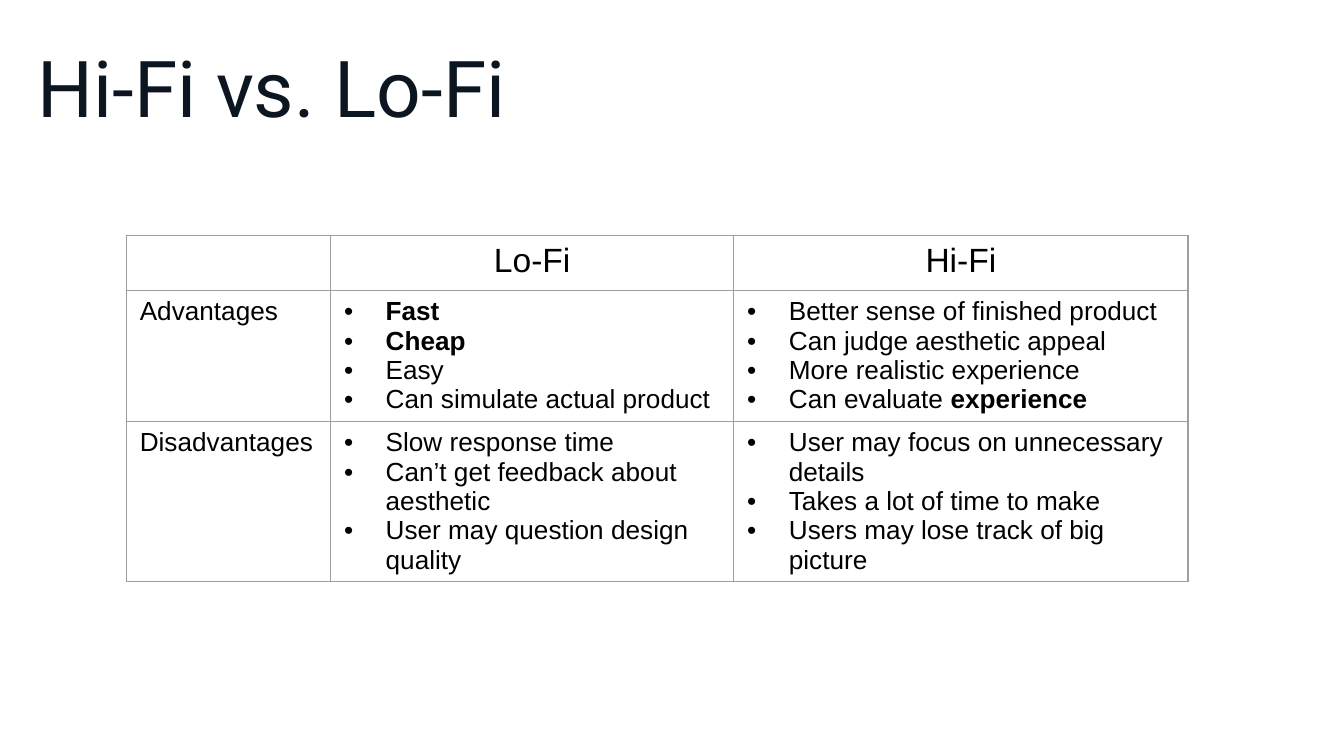
from lxml import etree
from pptx import Presentation
from pptx.dml.color import RGBColor
from pptx.enum.text import MSO_ANCHOR, MSO_AUTO_SIZE, PP_ALIGN
from pptx.oxml.ns import qn
from pptx.util import Inches, Pt

BOTTOM, TOP = MSO_ANCHOR.BOTTOM, MSO_ANCHOR.TOP
LEFT, CENTER = PP_ALIGN.LEFT, PP_ALIGN.CENTER
NO_FIT = MSO_AUTO_SIZE.NONE

COLORS = {"title": "0C1621", "text": "000000", "border": "9E9E9E"}
TITLE = "Hi-Fi vs. Lo-Fi"
HEADS = ["", "Lo-Fi", "Hi-Fi"]
# Each item is a list of (text, bold) runs.
ROWS = [
    ("Advantages",
     [[("Fast", True)],
      [("Cheap", True)],
      [("Easy", False)],
      [("Can simulate actual product", False)]],
     [[("Better sense of finished product", False)],
      [("Can judge aesthetic appeal", False)],
      [("More realistic experience", False)],
      [("Can evaluate ", False), ("experience", True)]]),
    ("Disadvantages",
     [[("Slow response time", False)],
      [("Can’t get feedback about aesthetic", False)],
      [("User may question design quality", False)]],
     [[("User may focus on unnecessary details", False)],
      [("Takes a lot of time to make", False)],
      [("Users may lose track of big picture", False)]]),
]
SLIDE_W = 10
SLIDE_H = SLIDE_W * 9 / 16
WIDTHS = [1.52, 3, 3.38]
ROW_H = 0.41
INDENT = 0.31


def add_run(para, text, size, color, face="Arial", bold=False):
    run = para.add_run()
    run.text = text
    font = run.font
    font.name, font.size, font.bold = face, Pt(size), bold
    font.color.rgb = RGBColor.from_string(COLORS[color])


def add_bullet(para):
    props = para._p.get_or_add_pPr()
    props.set("marL", str(Inches(INDENT)))
    props.set("indent", str(-Inches(INDENT)))
    color = etree.SubElement(props, qn("a:buClr"))
    etree.SubElement(color, qn("a:srgbClr"), val=COLORS["text"])
    etree.SubElement(props, qn("a:buFont"), typeface="Arial")
    etree.SubElement(props, qn("a:buChar"), char="•")


def style_cell(cell):
    props = cell._tc.get_or_add_tcPr()
    for side in ("lnL", "lnR", "lnT", "lnB"):
        line = etree.SubElement(props, qn(f"a:{side}"), w=str(Pt(0.75)))
        fill = etree.SubElement(line, qn("a:solidFill"))
        etree.SubElement(fill, qn("a:srgbClr"), val=COLORS["border"])
    cell.fill.background()
    cell.margin_left = cell.margin_right = Inches(0.1)
    cell.margin_top = cell.margin_bottom = Inches(0.05)
    cell.vertical_anchor = TOP


def fill_cell(cell, items, size=14, align=LEFT, bullets=False):
    frame = cell.text_frame
    for i, item in enumerate(items):
        para = frame.add_paragraph() if i else frame.paragraphs[0]
        para.alignment = align
        if bullets:
            add_bullet(para)
        for text, bold in item:
            add_run(para, text, size, "text", bold=bold)


def add_title(slide):
    title = slide.shapes.title
    title.left, title.top = Inches(0.18), Inches(0.34)
    title.width, title.height = Inches(8.65), Inches(0.76)
    frame = title.text_frame
    frame.auto_size, frame.word_wrap = NO_FIT, True
    frame.vertical_anchor = BOTTOM
    frame.margin_left = frame.margin_right = Inches(0.1)
    frame.margin_top = frame.margin_bottom = Inches(0.1)
    para = frame.paragraphs[0]
    para.alignment, para.line_spacing = LEFT, 0.9
    add_run(para, TITLE, 42, "title", "Roboto")


def add_grid(slide):
    count = len(ROWS) + 1
    table = slide.shapes.add_table(
        count, len(WIDTHS), Inches(0.94), Inches(1.75),
        Inches(sum(WIDTHS)), Inches(ROW_H * count)).table
    table.first_row = table.horz_banding = False
    for col, width in zip(table.columns, WIDTHS):
        col.width = Inches(width)
    for row in table.rows:
        row.height = Inches(ROW_H)
    for cell in table.iter_cells():
        style_cell(cell)
    for c, head in enumerate(HEADS):
        if head:
            fill_cell(table.cell(0, c), [[(head, False)]], 18, CENTER)
    for r, (label, *lists) in enumerate(ROWS, 1):
        fill_cell(table.cell(r, 0), [[(label, False)]])
        for c, items in enumerate(lists, 1):
            fill_cell(table.cell(r, c), items, bullets=True)


def main():
    deck = Presentation()
    deck.slide_width, deck.slide_height = Inches(SLIDE_W), Inches(SLIDE_H)
    slide = deck.slides.add_slide(deck.slide_layouts[5])
    add_title(slide)
    add_grid(slide)
    deck.save("out.pptx")


if __name__ == "__main__":
    main()
